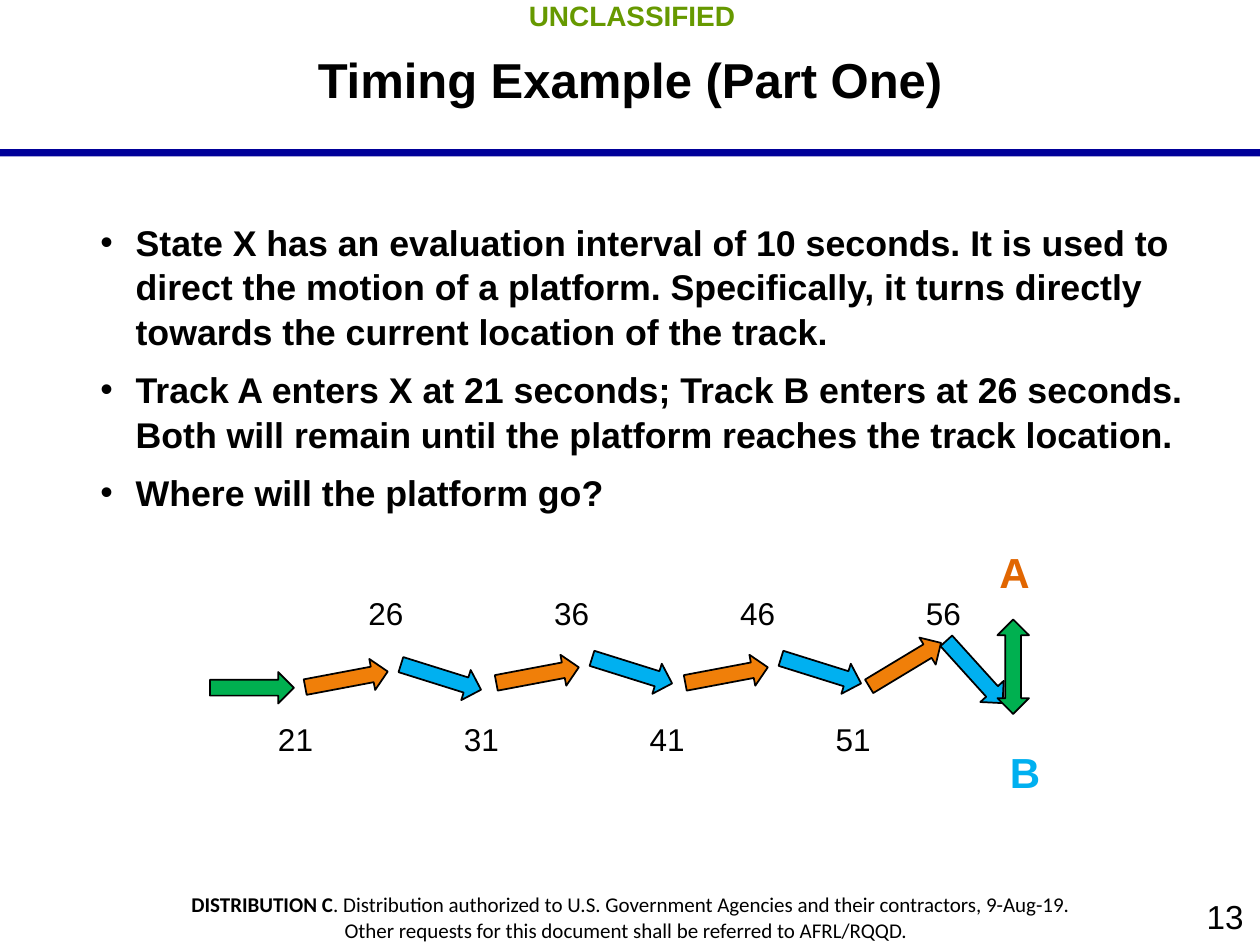
from lxml import etree
from pptx import Presentation
from pptx.dml.color import RGBColor
from pptx.enum.shapes import MSO_SHAPE
from pptx.enum.text import MSO_ANCHOR, MSO_AUTO_SIZE, PP_ALIGN
from pptx.oxml.ns import qn
from pptx.util import Inches, Pt

RECT, RIGHT, UP_DOWN = MSO_SHAPE.RECTANGLE, MSO_SHAPE.RIGHT_ARROW, MSO_SHAPE.UP_DOWN_ARROW
TOP, MIDDLE = MSO_ANCHOR.TOP, MSO_ANCHOR.MIDDLE
LEFT, CENTER, END = PP_ALIGN.LEFT, PP_ALIGN.CENTER, PP_ALIGN.RIGHT
NO_FIT = MSO_AUTO_SIZE.NONE

BLACK = RGBColor(0x00, 0x00, 0x00)
NAVY = RGBColor(0x00, 0x00, 0x99)
OLIVE = RGBColor(0x66, 0x99, 0x00)
RUST = RGBColor(0xE1, 0x66, 0x01)
ORANGE = RGBColor(0xF0, 0x7F, 0x09)
BLUE = RGBColor(0x00, 0xB0, 0xF0)
GREEN = RGBColor(0x00, 0xB0, 0x50)

COLS, ROWS = 120, 90
WIDE = (0.13, 0.07)
SNUG = (0.1, 0.05)

BULLETS = [
    "State X has an evaluation interval of 10 seconds. It is used to direct the motion "
    "of a platform. Specifically, it turns directly towards the current location of the track.",
    "Track A enters X at 21 seconds; Track B enters at 26 seconds. "
    "Both will remain until the platform reaches the track location.",
    "Where will the platform go?",
]
NOTICE = [
    [("DISTRIBUTION C", True),
     (". Distribution authorized to U.S. Government Agencies and their contractors, 9-Aug-19.", False)],
    [("Other requests for this document shall be referred to AFRL/RQQD.  ", False)],
]
PATH = [
    (20, 64, 0, GREEN),
    (29, 63.2, 349.3, ORANGE),
    (38, 63, 17.4, BLUE),
    (47.2, 62.8, 349.3, ORANGE),
    (56.2, 62.4, 17.4, BLUE),
    (65.2, 62.8, 349.3, ORANGE),
    (74.2, 62.4, 17.4, BLUE),
    (82.2, 61.8, 328.9, ORANGE),
    (88.8, 62.5, 47.9, BLUE),
]


class Deck:
    def __init__(self, font="Arial"):
        self.prs = Presentation()
        self.prs.slide_width, self.prs.slide_height = Inches(10), Inches(7.5)
        self.font = font
        self.s = self.prs.slides.add_slide(self.prs.slide_layouts[1])

    def box(self, col, row, cols, rows):
        w, h = self.prs.slide_width / COLS, self.prs.slide_height / ROWS
        return [round(v) for v in (col * w, row * h, cols * w, rows * h)]

    def fill_text(self, sp, paragraphs, size, color, align, anchor, inset, font=None):
        tf = sp.text_frame
        x, y = (Inches(v) for v in inset)
        frame = {"word_wrap": True, "auto_size": NO_FIT, "vertical_anchor": anchor,
                 "margin_left": x, "margin_right": x, "margin_top": y, "margin_bottom": y}
        for name, value in frame.items():
            setattr(tf, name, value)
        for i, runs in enumerate(paragraphs):
            p = tf.add_paragraph() if i else tf.paragraphs[0]
            p.alignment = align
            for text, bold in runs:
                r = p.add_run()
                r.text = text
                style = {"name": font or self.font, "size": Pt(size), "bold": bold}
                for name, value in style.items():
                    setattr(r.font, name, value)
                r.font.color.rgb = color
        return tf

    def place(self, sp, at):
        sp.left, sp.top, sp.width, sp.height = self.box(*at)
        return sp

    def title(self, text, at):
        sp = self.place(self.s.shapes.title, at)
        self.fill_text(sp, [[(text, True)]], 28, BLACK, CENTER, MIDDLE, WIDE)

    def bullets(self, items, at):
        sp = self.place(self.s.placeholders[1], at)
        tf = self.fill_text(sp, [[(t, True)] for t in items], 20.4, BLACK, LEFT, TOP, WIDE)
        for p in tf.paragraphs:
            p.space_before, p.line_spacing = Pt(8), 1.04
            pPr = p._p.get_or_add_pPr()
            pPr.set("marL", str(Inches(0.53)))
            pPr.set("indent", str(Inches(-0.28)))
            etree.SubElement(pPr, qn("a:buChar")).set("char", "•")

    def text(self, paragraphs, at, size, color=BLACK, align=LEFT, anchor=TOP, inset=SNUG, font=None):
        sp = self.s.shapes.add_textbox(*self.box(*at))
        self.fill_text(sp, paragraphs, size, color, align, anchor, inset, font)

    def shape(self, kind, at, color, turn=0, outline=True):
        sp = self.s.shapes.add_shape(kind, *self.box(*at))
        sp.shadow.inherit = False
        sp.rotation = turn
        sp.fill.solid()
        sp.fill.fore_color.rgb = color
        if outline:
            sp.line.color.rgb, sp.line.width = BLACK, Pt(1)
        else:
            sp.line.fill.background()


def main():
    d = Deck()
    d.shape(RECT, (0, 14.2, COLS, 0.7), NAVY, outline=False)
    d.text([[("13", False)]], (96, 84.6, 24, 5.4), 19, align=END, anchor=MIDDLE, inset=WIDE)
    d.text([[("UNCLASSIFIED", True)]], (0.2, -1, COLS, 4.8), 16, OLIVE, CENTER, inset=WIDE)
    d.text(NOTICE, (0.1, 84.1, COLS, 6.5), 12, align=CENTER, inset=WIDE, font="Calibri")
    d.title("Timing Example (Part One)", (16.5, 0, 87, 15))
    d.bullets(BULLETS, (5, 20, 110, 30))

    for name, col, row, color in (("A", 94, 51.5, RUST), ("B", 95, 70.5, BLUE)):
        d.text([[(name, True)]], (col, row, 9, 6), 24, color)
    for col, row, turn, color in PATH:
        d.shape(RIGHT, (col, row, 8, 3), color, turn)
    d.shape(UP_DOWN, (95, 59, 3, 9), GREEN)

    for first, col, row in ((21, 25.3, 68), (26, 33.9, 56)):
        for i in range(4):
            d.text([[(str(first + 10 * i), False)]], (col + 17.7 * i, row, 7, 4.8), 18)
    d.prs.save("out.pptx")


if __name__ == "__main__":
    main()
